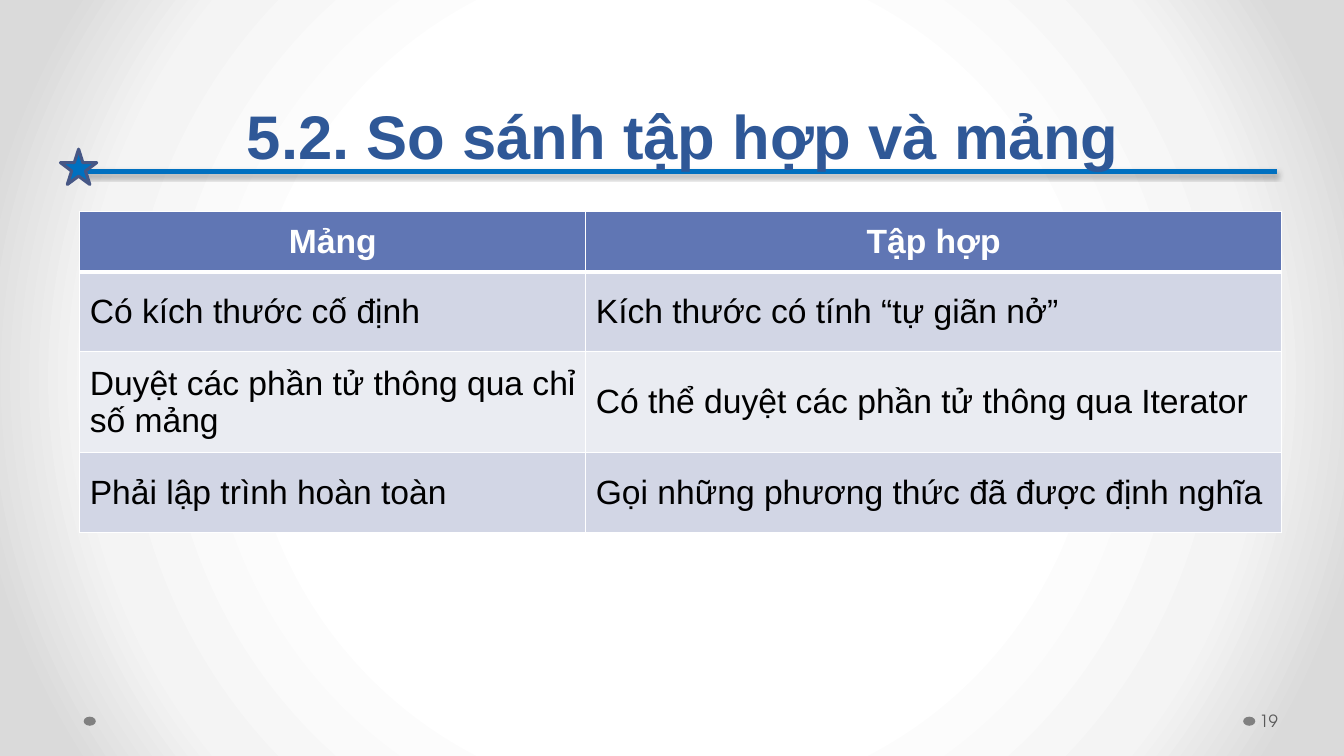
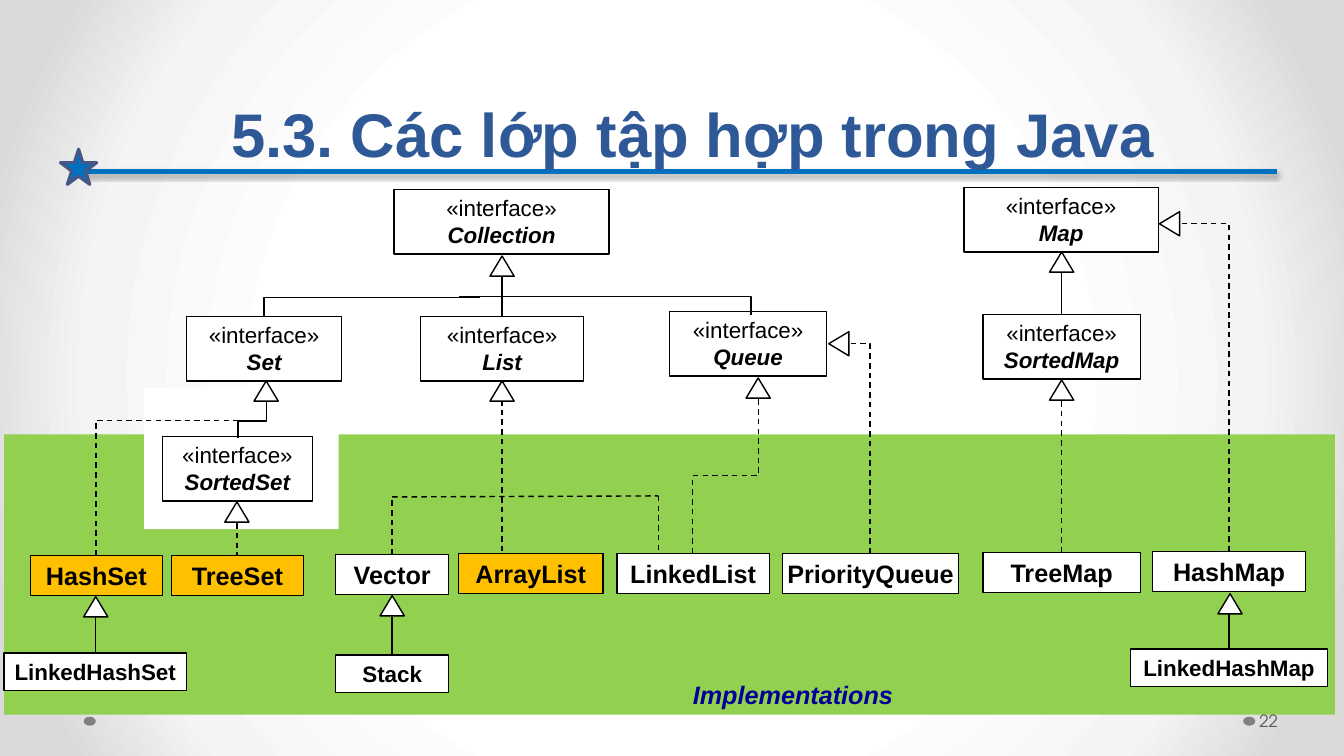
"""Build two slides on Java collections: a comparison table and a class diagram."""
import dataclasses

import lxml.etree
import pptx
import pptx.dml.color
import pptx.enum.dml
import pptx.enum.shapes
import pptx.enum.text
import pptx.oxml
import pptx.oxml.ns
import pptx.util

PX = 9144
HALF_PX = PX // 2
SHAPE = pptx.enum.shapes.MSO_SHAPE
CONNECTOR = pptx.enum.shapes.MSO_CONNECTOR
ALIGN = pptx.enum.text.PP_ALIGN
ANCHOR = pptx.enum.text.MSO_ANCHOR
RGB = pptx.dml.color.RGBColor.from_string
qn = pptx.oxml.ns.qn


@dataclasses.dataclass(frozen=True)
class Theme:
    title: str = "2F5897"
    accent: str = "0070C0"
    star_edge: str = "475785"
    bullet: str = "808080"
    number: str = "595959"
    header: str = "6076B4"
    bands: tuple = ("D2D6E5", "EAECF2")
    black: str = "000000"
    white: str = "FFFFFF"
    implementation: str = "92D050"
    highlight: str = "FFC000"
    caption: str = "000099"
    backdrop: tuple = ((50, "FFFFFF"), (76, "F4F4F4"), (92, "DADADA"))
    font: str = "Arial"
    number_font: str = "TeX Gyre Adventor"
    title_size: int = 44
    table_size: int = 24
    class_size: int = 18
    label_size: int = 16
    number_size: int = 12


THEME = Theme()


def draw(slide, preset, box, fill, edge=None, weight=1):
    """Add a flat preset shape with an optional outline."""
    shape = slide.shapes.add_shape(preset, *(PX * v for v in box))
    shape.shadow.inherit = False
    shape.fill.solid()
    shape.fill.fore_color.rgb = RGB(fill)
    if edge:
        shape.line.color.rgb = RGB(edge)
        shape.line.width = pptx.util.Pt(weight)
    else:
        shape.line.fill.background()
    return shape


def write(frame, lines, size, color, align=ALIGN.CENTER, font=THEME.font, **layout):
    """Fill a text frame with one paragraph for each (text, font formats) pair."""
    for name, value in {"word_wrap": True, **layout}.items():
        setattr(frame, name, value)
    for index, (text, formats) in enumerate(lines):
        paragraph = frame.add_paragraph() if index else frame.paragraphs[0]
        paragraph.alignment = align
        run = paragraph.add_run()
        run.text = text
        run.font.color.rgb = RGB(color)
        for name, value in {"name": font, "size": pptx.util.Pt(size), **formats}.items():
            setattr(run.font, name, value)


BOLD = {"bold": True}
PLAIN = {"bold": False}
BOLD_ITALIC = {"bold": True, "italic": True}

deck = pptx.Presentation()
deck.slide_width, deck.slide_height = 1333 * PX, 750 * PX

deck.slide_master.background.fill.gradient()
gradient = deck.slide_master._element.cSld.find(".//" + qn("a:gradFill"))
stops = "".join(
    f'<a:gs pos="{place * 1000}"><a:srgbClr val="{color}"/></a:gs>'
    for place, color in THEME.backdrop
)
gradient.getparent().replace(gradient, pptx.oxml.parse_xml(
    f'<a:gradFill {pptx.oxml.ns.nsdecls("a")} rotWithShape="1"><a:gsLst>{stops}</a:gsLst>'
    '<a:path path="circle"><a:fillToRect l="50000" t="50000" r="50000" b="50000"/></a:path>'
    "</a:gradFill>"
))

headings = [
    ("5.2. So sánh tập hợp và mảng ", "19", (108, 19, 1157, 156)),
    ("5.3. Các lớp tập hợp trong Java", "22", (109, 17, 1157, 156)),
]
for heading, page, heading_box in headings:
    slide = deck.slides.add_slide(deck.slide_layouts[6])
    for left in (1233, 83):
        draw(slide, SHAPE.OVAL, (left, 711, 12, 9), THEME.bullet)

    divider = slide.shapes.add_connector(
        CONNECTOR.STRAIGHT, 84 * PX, 170 * PX, 1267 * PX, 170 * PX)
    divider.line.color.rgb = RGB(THEME.accent)
    divider.line.width = pptx.util.Pt(4)
    effects = lxml.etree.SubElement(divider._element.spPr, qn("a:effectLst"))
    shadow = lxml.etree.SubElement(
        effects, qn("a:outerShdw"), blurRad="39370", dist="22860", dir="5400000", rotWithShape="0")
    shade = lxml.etree.SubElement(shadow, qn("a:srgbClr"), val=THEME.black)
    lxml.etree.SubElement(shade, qn("a:alpha"), val="35000")

    draw(slide, SHAPE.STAR_5_POINT, (60, 148, 36, 35), THEME.accent, THEME.star_edge, 2.25)

    title = slide.shapes.add_textbox(*(PX * v for v in heading_box)).text_frame
    write(title, [(heading, BOLD)], THEME.title_size, THEME.title,
          vertical_anchor=ANCHOR.BOTTOM)
    title.paragraphs[0].line_spacing = pptx.util.Pt(58)

comparison, diagram = deck.slides

rows = [
    ("Mảng", "Tập hợp"),
    ("Có kích thước cố định", "Kích thước có tính “tự giãn nở”"),
    ("Duyệt các phần tử thông qua chỉ số mảng", "Có thể duyệt các phần tử thông qua Iterator"),
    ("Phải lập trình hoàn toàn", "Gọi những phương thức đã được định nghĩa"),
]
table = comparison.shapes.add_table(
    len(rows), 2, 79 * PX, 210 * PX, 1192 * PX, 291 * PX).table
table.first_row = table.horz_banding = False
for column, width in zip(table.columns, (502, 690)):
    column.width = width * PX
for row_index, texts in enumerate(rows):
    is_header = row_index == 0
    table.rows[row_index].height = (54 if is_header else 79) * PX
    for cell, text in zip(table.rows[row_index].cells, texts):
        margins = dict.fromkeys(
            ("margin_left", "margin_top", "margin_right", "margin_bottom"), 10 * PX)
        for name, value in {**margins, "vertical_anchor": ANCHOR.MIDDLE}.items():
            setattr(cell, name, value)
        write(cell.text_frame, [(text, BOLD if is_header else PLAIN)], THEME.table_size,
              THEME.white if is_header else THEME.black,
              ALIGN.CENTER if is_header else ALIGN.LEFT)
        properties = cell._tc.get_or_add_tcPr()
        for side in ("lnL", "lnR", "lnT", "lnB"):
            thick = (is_header and side == "lnB") or (row_index == 1 and side == "lnT")
            border = lxml.etree.SubElement(
                properties, qn(f"a:{side}"), w=str(pptx.util.Pt(3 if thick else 1)))
            paint = lxml.etree.SubElement(border, qn("a:solidFill"))
            lxml.etree.SubElement(paint, qn("a:srgbClr"), val=THEME.white)
        cell.fill.solid()
        cell.fill.fore_color.rgb = RGB(
            THEME.header if is_header else THEME.bands[(row_index - 1) % 2])

draw(diagram, SHAPE.RECTANGLE, (4, 431, 1320, 278), THEME.implementation)
draw(diagram, SHAPE.RECTANGLE, (143, 385, 193, 140), THEME.white)

interfaces = [
    ("Collection", 391, 188, 213), ("Set", 185, 314, 154), ("List", 417, 314, 162),
    ("Queue", 664, 309, 156), ("SortedSet", 161, 433, 149), ("Map", 956, 186, 193),
    ("SortedMap", 975, 312, 156),
]
classes = [
    ("HashSet", 30, 551, 131), ("TreeSet", 170, 551, 131), ("Vector", 333, 550, 112),
    ("ArrayList", 455, 549, 143), ("LinkedList", 612, 549, 151),
    ("PriorityQueue", 776, 549, 175), ("TreeMap", 975, 548, 156), ("HashMap", 1143, 547, 152),
]
subclasses = [
    ("LinkedHashSet", 4, 648, 181), ("Stack", 333, 650, 112), ("LinkedHashMap", 1121, 644, 196),
]
highlighted = {"HashSet", "TreeSet", "ArrayList"}
tiers = [
    (interfaces, 64, THEME.label_size, [("«interface»", PLAIN)], BOLD_ITALIC),
    (classes, 40, THEME.class_size, [], BOLD),
    (subclasses, 37, THEME.label_size, [], BOLD),
]
for members, height, size, stereotype, formats in tiers:
    for member, left, top, width in members:
        fill = THEME.highlight if member in highlighted else THEME.white
        member_box = draw(
            diagram, SHAPE.RECTANGLE, (left, top, width, height), fill, THEME.black)
        write(member_box.text_frame, stereotype + [(member, formats)], size, THEME.black,
              vertical_anchor=ANCHOR.TOP, margin_left=0, margin_right=0,
              margin_top=5 * PX, margin_bottom=5 * PX)

extends = [
    ("line", 1053, 312, 1053, 270), ("line", 95, 648, 95, 612),
    ("line", 389, 650, 389, 612), ("line", 1219, 644, 1219, 609),
    ("line", 498, 314, 498, 275), ("bentConnector2", 745, 313, 455, 294),
    ("bentConnector2", 262, 314, 476, 295), ("bentConnector3", 236, 435, 264, 400),
]
implements = [
    ("line", 498, 547, 498, 398), ("line", 1053, 398, 1053, 548),
    ("line", 235, 519, 235, 551), ("line", 389, 493, 653, 492),
    ("line", 389, 550, 389, 493), ("line", 653, 492, 653, 547),
    ("bentConnector3", 687, 549, 752, 395), ("bentConnector3", 95, 551, 264, 398, 87400),
    ("bentConnector2", 1219, 547, 1170, 222), ("bentConnector2", 863, 549, 842, 341),
]
for relations, is_dashed in ((extends, False), (implements, True)):
    for preset, x1, y1, x2, y2, *bend in relations:
        if preset == "line":
            relation = diagram.shapes.add_connector(
                CONNECTOR.STRAIGHT, x1 * PX, y1 * PX, x2 * PX, y2 * PX)
        else:
            turn = 1 if x2 > x1 else -1
            middle_x, middle_y = (x1 + x2) * HALF_PX, (y1 + y2) * HALF_PX
            reach, drop = turn * (y1 - y2) * HALF_PX, abs(x2 - x1) * HALF_PX
            relation = diagram.shapes.add_connector(
                CONNECTOR.ELBOW, middle_x + reach, middle_y + drop,
                middle_x - reach, middle_y - drop)
            properties = relation._element.spPr
            properties.find(qn("a:xfrm")).set("rot", str((180 - 90 * turn) * 60000))
            geometry = properties.find(qn("a:prstGeom"))
            geometry.set("prst", preset)
            for value in bend:
                lxml.etree.SubElement(
                    geometry.find(qn("a:avLst")), qn("a:gd"), name="adj1", fmla=f"val {value}")
        relation.line.color.rgb = RGB(THEME.black)
        relation.line.width = pptx.util.Pt(1)
        if is_dashed:
            relation.line.dash_style = pptx.enum.dml.MSO_LINE.DASH
        lxml.etree.SubElement(relation._element.spPr, qn("a:effectLst"))

arrowheads = [
    (486, 254, 0), (1041, 250, 0), (252, 378, 0), (83, 592, 0), (223, 498, 0),
    (1041, 377, 0), (377, 591, 0), (1208, 589, 0), (486, 378, 0), (740, 375, 0),
    (1148, 212, 270), (820, 331, 270),
]
for left, top, rotation in arrowheads:
    arrowhead = draw(
        diagram, SHAPE.ISOSCELES_TRIANGLE, (left, top, 24, 20), THEME.white, THEME.black)
    arrowhead.rotation = rotation

caption = diagram.shapes.add_textbox(676 * PX, 669 * PX, 221 * PX, 40 * PX)
write(caption.text_frame, [("Implementations", BOLD_ITALIC)], THEME.class_size, THEME.caption)

for slide, (heading, page, heading_box) in zip(deck.slides, headings):
    number = slide.shapes.add_textbox(1246 * PX, 695 * PX, 82 * PX, 40 * PX)
    write(number.text_frame, [(page, PLAIN)], THEME.number_size, THEME.number, ALIGN.LEFT,
          THEME.number_font, vertical_anchor=ANCHOR.MIDDLE, margin_left=3 * PX,
          margin_right=5 * PX)

deck.save("out.pptx")
